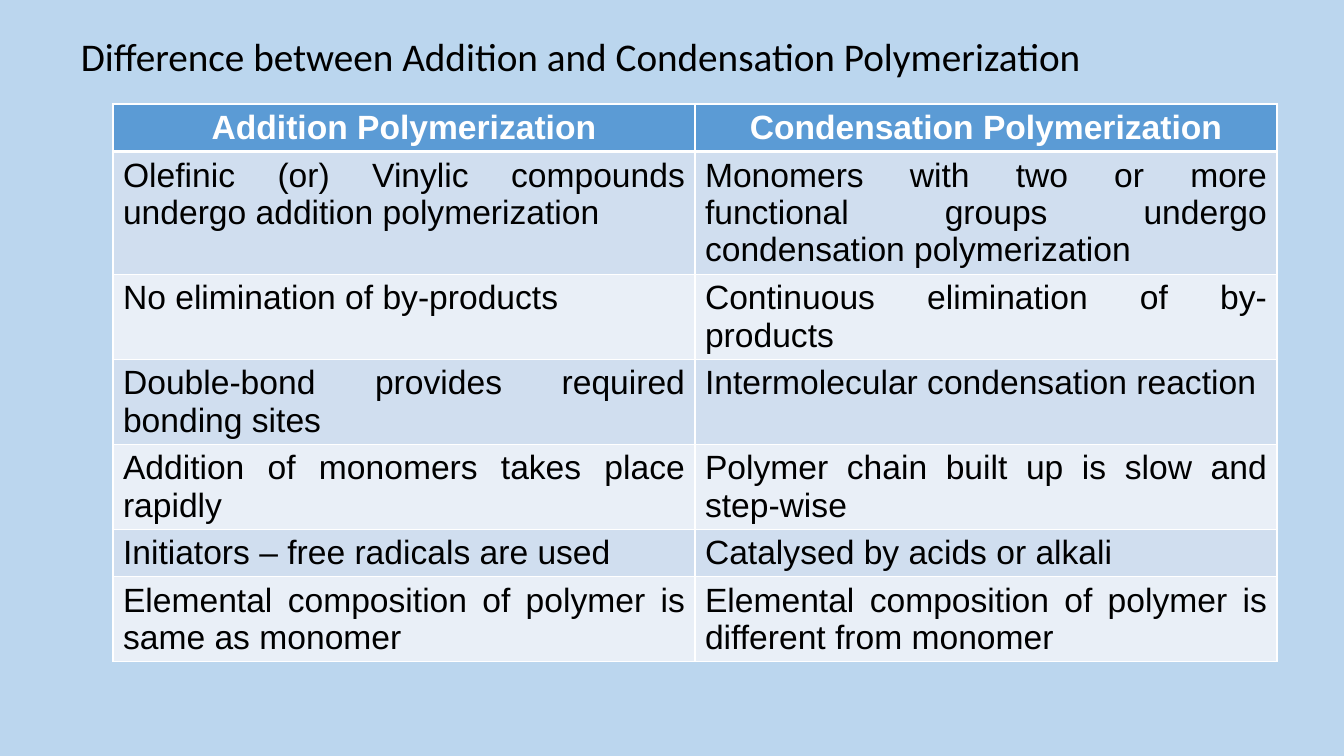
import dataclasses

import lxml.etree
import pptx
import pptx.dml.color
import pptx.enum.text
import pptx.oxml.ns
import pptx.util

EMU_PER_PX = 914400 / 100.8
ALIGN = pptx.enum.text.PP_ALIGN


@dataclasses.dataclass(frozen=True)
class Theme:
    background: str = "BBD6EE"
    header_fill: str = "5B9BD5"
    band_fills: tuple = ("D0DEEF", "E9EFF7")
    light: str = "FFFFFF"
    dark: str = "000000"
    title_font: str = "Calibri"
    table_font: str = "Arial"
    title_size: int = 28
    table_size: int = 24
    border_width: int = 1
    header_rule_width: int = 3


THEME = Theme()

TITLE = "Difference between Addition and Condensation Polymerization"
HEADER = ("Addition Polymerization", "Condensation Polymerization")
# Each row: addition text, condensation text, lines of text it needs
COMPARISONS = [
    ("Olefinic (or) Vinylic compounds undergo addition polymerization",
     "Monomers with two or more functional groups undergo condensation polymerization", 3),
    ("No elimination of by-products",
     "Continuous elimination of by-products", 2),
    ("Double-bond provides required bonding sites",
     "Intermolecular condensation reaction", 2),
    ("Addition of monomers takes place rapidly",
     "Polymer chain built up is slow and step-wise", 2),
    ("Initiators – free radicals are used",
     "Catalysed by acids or alkali", 1),
    ("Elemental composition of polymer is same as monomer",
     "Elemental composition of polymer is different from monomer", 2),
]


def px(length):
    return pptx.util.Emu(round(length * EMU_PER_PX))


def rgb(value):
    return pptx.dml.color.RGBColor.from_string(value)


def write_text(text_frame, text, *, font, size, color, bold=False, align=None):
    paragraph = text_frame.paragraphs[0]
    paragraph.alignment = align
    run = paragraph.add_run()
    run.text = text
    run.font.name = font
    run.font.size = pptx.util.Pt(size)
    run.font.bold = bold
    run.font.color.rgb = rgb(color)


def set_borders(cell, bottom_width, top_width):
    """Draw the four cell borders, which must come before the fill."""
    properties = cell._tc.get_or_add_tcPr()
    widths = {"lnL": THEME.border_width, "lnR": THEME.border_width,
              "lnT": top_width, "lnB": bottom_width}
    qualified = pptx.oxml.ns.qn
    for index, (side, width) in enumerate(widths.items()):
        line = lxml.etree.Element(qualified(f"a:{side}"), w=str(pptx.util.Pt(width)))
        fill = lxml.etree.SubElement(line, qualified("a:solidFill"))
        lxml.etree.SubElement(fill, qualified("a:srgbClr"), val=THEME.light)
        properties.insert(index, line)


def add_title(slide, text, left, top, width, height):
    box = slide.shapes.add_textbox(px(left), px(top), px(width), px(height))
    box.text_frame.word_wrap = True
    write_text(box.text_frame, text, font=THEME.title_font,
               size=THEME.title_size, color=THEME.dark)


def fill_cell(cell, text, row_index):
    is_header = row_index == 0
    fill = THEME.header_fill if is_header else THEME.band_fills[(row_index - 1) % 2]
    cell.fill.solid()
    cell.fill.fore_color.rgb = rgb(fill)
    set_borders(
        cell,
        bottom_width=THEME.header_rule_width if is_header else THEME.border_width,
        top_width=THEME.header_rule_width if row_index == 1 else THEME.border_width)
    write_text(cell.text_frame, text, font=THEME.table_font, size=THEME.table_size,
               color=THEME.light if is_header else THEME.dark, bold=is_header,
               align=ALIGN.CENTER if is_header else ALIGN.JUSTIFY)


def add_comparison_table(slide, rows, left, top, column_width, line_height, padding):
    heights = [padding + line_height * lines for _, _, lines in rows]
    table = slide.shapes.add_table(
        len(rows), 2, px(left), px(top), px(2 * column_width), px(sum(heights))).table
    for column in table.columns:
        column.width = px(column_width)
    for row_index, (addition, condensation, _) in enumerate(rows):
        table.rows[row_index].height = px(heights[row_index])
        for column_index, text in enumerate((addition, condensation)):
            fill_cell(table.cell(row_index, column_index), text, row_index)


def main():
    presentation = pptx.Presentation()
    presentation.slide_width = px(1344)
    presentation.slide_height = px(756)
    slide = presentation.slides.add_slide(presentation.slide_layouts[6])

    # Background
    slide.background.fill.solid()
    slide.background.fill.fore_color.rgb = rgb(THEME.background)

    # Comparison table
    add_comparison_table(slide, [(*HEADER, 1), *COMPARISONS], left=113, top=104,
                         column_width=582, line_height=37, padding=10)

    # Title
    add_title(slide, TITLE, left=71, top=27, width=1032, height=57)

    presentation.save("out.pptx")


if __name__ == "__main__":
    main()
